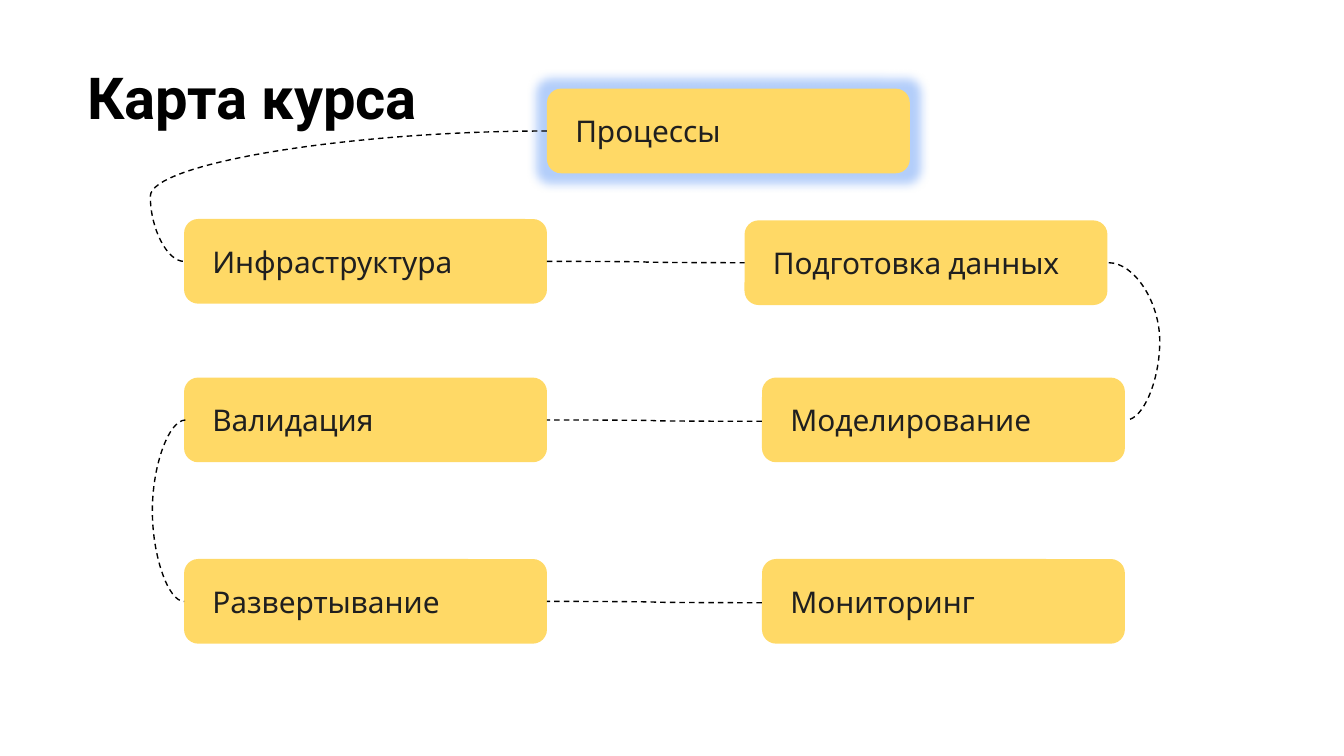
from lxml.etree import SubElement
from pptx import Presentation
from pptx.dml.color import RGBColor
from pptx.enum.dml import MSO_LINE
from pptx.enum.shapes import MSO_CONNECTOR, MSO_SHAPE
from pptx.enum.text import MSO_ANCHOR, MSO_AUTO_SIZE, PP_ALIGN
from pptx.oxml.ns import qn
from pptx.util import Inches, Pt

BLACK = RGBColor(0x00, 0x00, 0x00)
INK = RGBColor(0x1F, 0x1F, 0x1F)
YELLOW = RGBColor(0xFF, 0xD9, 0x66)
GLOW_BLUE = RGBColor(0x42, 0x85, 0xF4)

# Grid, in inches
SLIDE_WIDTH = 10
SLIDE_HEIGHT = SLIDE_WIDTH * 9 / 16
TOPIC_WIDTH, TOPIC_HEIGHT = 2.7, 0.63
LEFT_COLUMN, RIGHT_COLUMN = 1.37, 5.67
START_COLUMN = LEFT_COLUMN + TOPIC_WIDTH
START_ROW, FIRST_ROW, SECOND_ROW, THIRD_ROW = 0.66, 1.63, 2.81, 4.16
DRIFT = 0.01  # small offset that keeps a curve from having no extent
LEFT_BEND, RIGHT_BEND = 1.12, 8.63

TOPICS = {
    "Процессы": (START_COLUMN, START_ROW),
    "Инфраструктура": (LEFT_COLUMN, FIRST_ROW),
    "Подготовка данных": (5.54, FIRST_ROW + DRIFT),
    "Валидация": (LEFT_COLUMN, SECOND_ROW),
    "Моделирование": (RIGHT_COLUMN, SECOND_ROW),
    "Развертывание": (LEFT_COLUMN, THIRD_ROW),
    "Мониторинг": (RIGHT_COLUMN, THIRD_ROW),
}


def write(shape, text, *, font, size, color, bold=False,
          anchor=MSO_ANCHOR.MIDDLE, side_inset=0.18):
    frame = shape.text_frame
    frame.word_wrap = True
    frame.auto_size = MSO_AUTO_SIZE.NONE
    frame.vertical_anchor = anchor
    frame.margin_left = frame.margin_right = Inches(side_inset)
    frame.margin_top = frame.margin_bottom = Inches(0.1)
    paragraph = frame.paragraphs[0]
    paragraph.alignment = PP_ALIGN.LEFT
    run = paragraph.add_run()
    run.text = text
    run.font.name = font
    run.font.size = Pt(size)
    run.font.bold = bold
    run.font.color.rgb = color


def add_title(slide, text):
    title = slide.shapes.title
    title.left, title.top = Inches(0.55), Inches(0.36)
    title.width, title.height = Inches(9.32), Inches(1.2)
    write(title, text, font="Roboto", size=31, color=BLACK, bold=True,
          anchor=MSO_ANCHOR.TOP, side_inset=0.1)


def add_topic(slide, text, left, top):
    topic = slide.shapes.add_shape(
        MSO_SHAPE.ROUNDED_RECTANGLE, Inches(left), Inches(top),
        Inches(TOPIC_WIDTH), Inches(TOPIC_HEIGHT))
    topic.shadow.inherit = False
    topic.fill.solid()
    topic.fill.fore_color.rgb = YELLOW
    topic.line.fill.background()
    write(topic, text, font="Karla", size=16, color=INK)
    return topic


def add_glow(shape, color, radius, opacity):
    effects = shape._element.spPr.find(qn("a:effectLst"))
    glow = SubElement(effects, qn("a:glow"), rad=str(Inches(radius)))
    tint = SubElement(glow, qn("a:srgbClr"), val=str(color))
    SubElement(tint, qn("a:alpha"), val=str(int(opacity * 100000)))


def left_end(topic, dx=0, dy=0):
    left, top = TOPICS[topic]
    return left + dx, top + TOPIC_HEIGHT / 2 + dy


def right_end(topic, dx=0, dy=0):
    return left_end(topic, TOPIC_WIDTH + dx, dy)


def connect(slide, start, end, bend=None):
    """Draw a dashed curve whose middle passes through x = bend."""
    curve = slide.shapes.add_connector(
        MSO_CONNECTOR.CURVE, *(Inches(value) for value in (*start, *end)))
    curve.line.color.rgb = BLACK
    curve.line.width = Pt(0.75)
    curve.line.dash_style = MSO_LINE.DASH
    properties = curve._element.spPr
    SubElement(properties, qn("a:effectLst"))
    if bend is not None:
        share = (bend - start[0]) / (end[0] - start[0])
        guides = properties.find(qn("a:prstGeom")).find(qn("a:avLst"))
        SubElement(guides, qn("a:gd"), name="adj1",
                   fmla=f"val {round(share * 100000)}")


def main():
    deck = Presentation()
    deck.slide_width = Inches(SLIDE_WIDTH)
    deck.slide_height = Inches(SLIDE_HEIGHT)
    slide = deck.slides.add_slide(deck.slide_layouts[5])

    add_title(slide, "Карта курса")
    topics = {text: add_topic(slide, text, *place)
              for text, place in TOPICS.items()}
    add_glow(topics["Процессы"], GLOW_BLUE, radius=0.15, opacity=0.4)

    connect(slide, left_end("Процессы"), left_end("Инфраструктура"), LEFT_BEND)
    connect(slide, right_end("Инфраструктура"), left_end("Подготовка данных"))
    connect(slide, right_end("Подготовка данных", dx=DRIFT),
            right_end("Моделирование", dx=DRIFT), RIGHT_BEND)
    connect(slide, left_end("Моделирование", dy=DRIFT), right_end("Валидация"))
    connect(slide, left_end("Валидация", dx=DRIFT),
            left_end("Развертывание"), LEFT_BEND + DRIFT)
    connect(slide, left_end("Мониторинг", dy=DRIFT),
            right_end("Развертывание"))

    deck.save("out.pptx")


if __name__ == "__main__":
    main()
